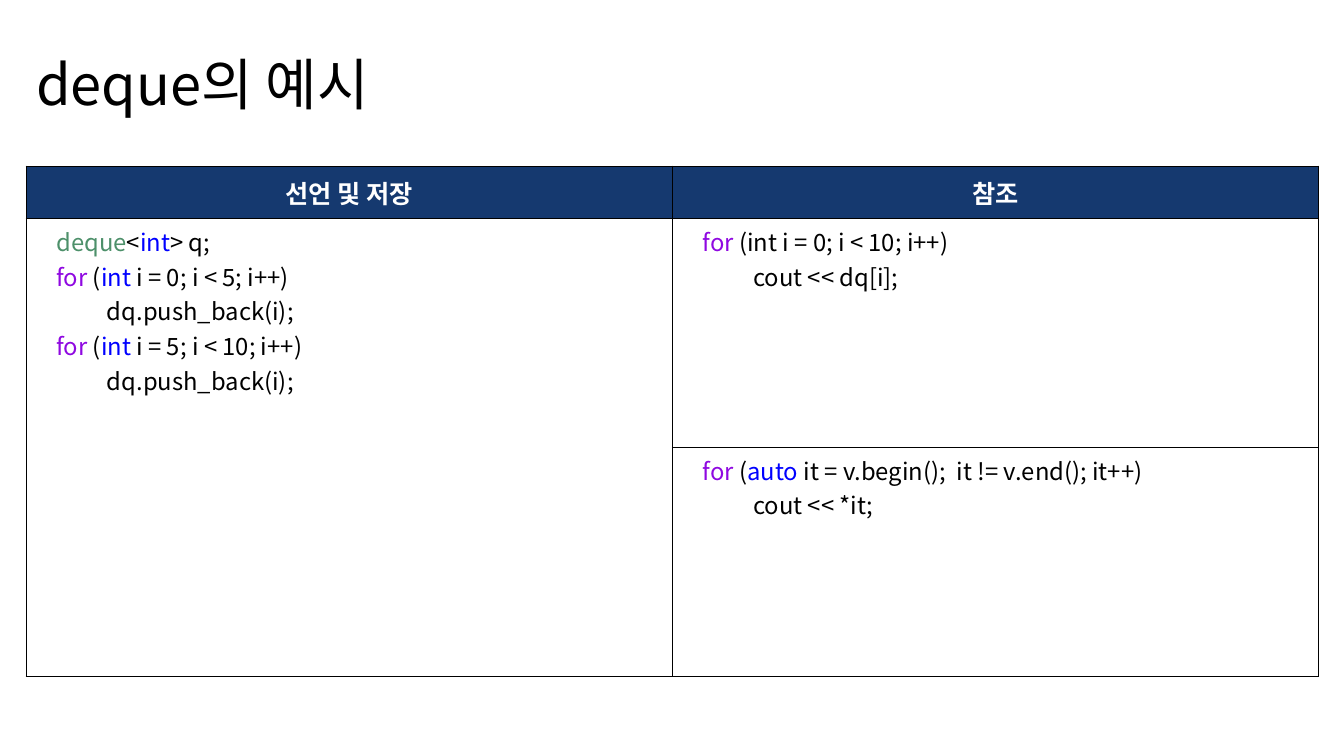
from pptx import Presentation
from pptx.dml.color import RGBColor as RGB
from pptx.enum.text import MSO_ANCHOR as Anchor, PP_ALIGN as Align
from pptx.oxml import parse_xml
from pptx.oxml.ns import nsdecls
from pptx.util import Inches, Pt
from lxml.etree import SubElement

INK = {"text": "000000", "head": "15396F", "paper": "FFFFFF",
       "type": "4D906A", "key": "0000FF", "loop": "8F08E1"}
# Colour of each marked code word
WORDS = {"deque": "type", "int": "key", "auto": "key", "for": "loop"}


class Deck:
    font = "Noto Sans CJK KR"

    def __init__(self):
        self.prs = Presentation()
        self.prs.slide_width, self.prs.slide_height = Inches(13.33), Inches(7.5)
        self.slide = self.prs.slides.add_slide(self.prs.slide_layouts[5])

    def x(self, share):
        return int(self.prs.slide_width * share / 100)

    def y(self, share):
        return int(self.prs.slide_height * share / 100)

    def box(self, left, top, width, height):
        return self.x(left), self.y(top), self.x(width), self.y(height)

    def style(self, run, size, ink="text", bold=False):
        font = run.font
        font.name, font.size, font.bold = self.font, Pt(size), bold
        font.color.rgb = RGB.from_string(INK[ink])
        SubElement(run._r.rPr, run._r.rPr[-1].tag.replace("latin", "ea"),
                   typeface=self.font)

    def title(self, text, *place):
        shape = self.slide.shapes.title
        shape.left, shape.top, shape.width, shape.height = self.box(*place)
        frame = shape.text_frame
        frame.text, frame.vertical_anchor = text, Anchor.MIDDLE
        para = frame.paragraphs[0]
        para.alignment = Align.LEFT
        self.style(para.runs[0], 40)

    def table(self, place, rows, cols):
        grid = self.slide.shapes.add_table(len(rows), cols, *self.box(*place)).table
        for row, share in zip(grid.rows, rows):
            row.height = self.y(share)
        for cell in grid.iter_cells():
            self.edge(cell)
            self.fill(cell, "paper")
        return grid

    def edge(self, cell):
        props = cell._tc.get_or_add_tcPr()
        for side in "LRTB":
            props.append(parse_xml(
                f'<a:ln{side} {nsdecls("a")} w="{Pt(1)}"><a:solidFill>'
                f'<a:srgbClr val="{INK["text"]}"/></a:solidFill></a:ln{side}>'))

    def fill(self, cell, ink):
        cell.fill.solid()
        cell.fill.fore_color.rgb = RGB.from_string(INK[ink])

    def head(self, cell, text):
        self.fill(cell, "head")
        cell.text_frame.text, cell.vertical_anchor = text, Anchor.MIDDLE
        para = cell.text_frame.paragraphs[0]
        para.alignment = Align.CENTER
        self.style(para.runs[0], 18, "paper", True)

    def code(self, cell, lines):
        """Each line is cut at | into runs; marked words take their colour."""
        frame = cell.text_frame
        for i, line in enumerate(lines):
            para = frame.add_paragraph() if i else frame.paragraphs[0]
            props = para._p.get_or_add_pPr()
            props.set("marL", str(Inches(0.2)))
            props.set("indent", "0")
            for part in line.split("|"):
                run = para.add_run()
                run.text = part
                self.style(run, 17, WORDS.get(part.strip(), "text"))


deck = Deck()
deck.title("deque의 예시", 1.95, 5.87, 65.27, 10.13)

# Table frame: one header row and two code rows
grid = deck.table((1.95, 22, 96.17, 67.47), (6.93, 30.27, 30.27), 2)
grid.cell(1, 0).merge(grid.cell(2, 0))
for col, name in enumerate(("선언 및 저장", "참조")):
    deck.head(grid.cell(0, col), name)

# Declaring and storing
push = "\tdq.push_back(i);"
deck.code(grid.cell(1, 0), ["deque|<|int|> q;",
                            "for| (|int |i = 0; i < 5; i++)", push,
                            "for| (|int |i = 5; i < 10; i++)", push])

# Reading by index and by iterator
deck.code(grid.cell(1, 1), ["for| (int i = 0; i < 10; i++)",
                            "\tcout << dq[i];"])
deck.code(grid.cell(2, 1), ["for |(|auto| it = v.begin();  it != v.end(); it++)",
                            "\tcout << *it;"])

deck.prs.save("out.pptx")
